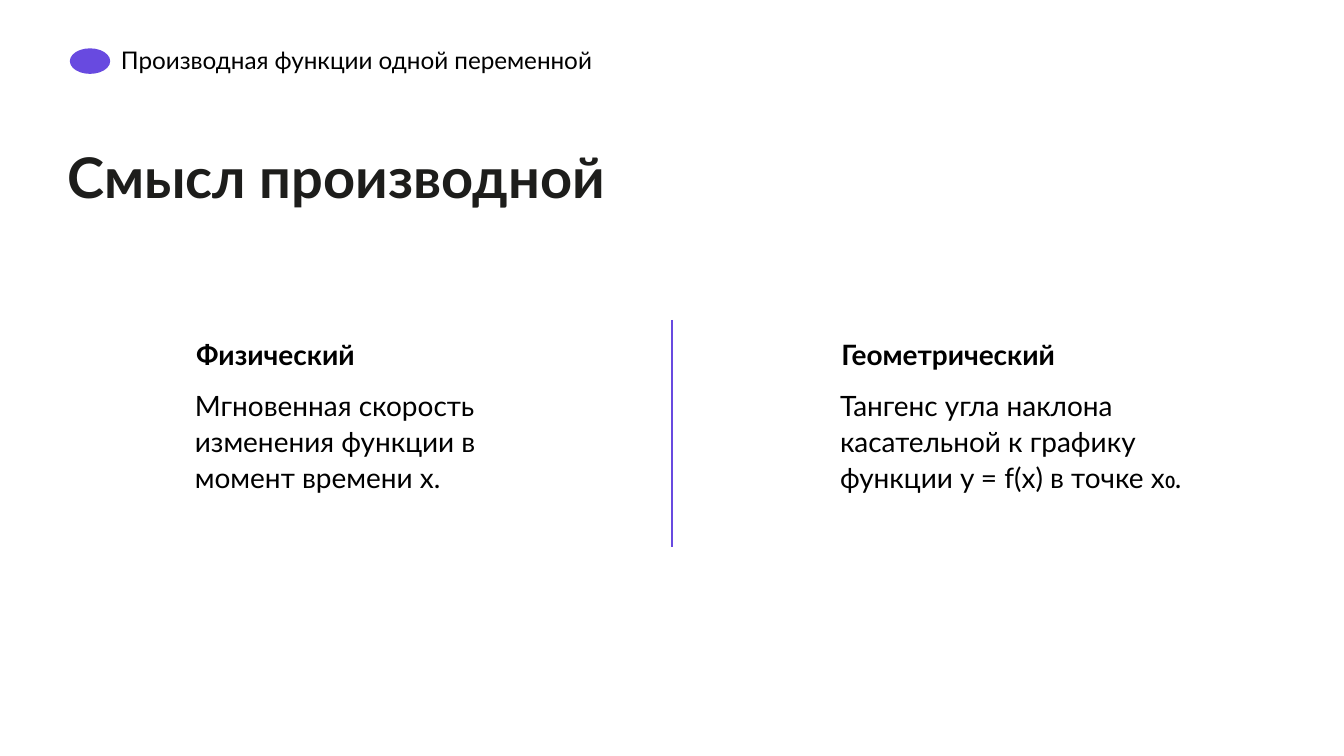
from lxml import etree
from pptx import Presentation
from pptx.dml.color import RGBColor
from pptx.enum import shapes, text
from pptx.oxml.ns import qn
from pptx.util import Inches, Pt

FONT = "Lato"
BLACK, INK, PURPLE = "000000", "1D1D1B", "684AE0"

TOPIC = "Производная функции одной переменной"
HEADING = "Смысл производной"
# Each meaning: left edge, name, then runs of (text, size, bold)
MEANINGS = [
    (1.45, "Физический",
     [("Мгновенная скорость изменения функции в момент времени x.", 15, False)]),
    (6.25, "Геометрический",
     [("Тангенс угла наклона касательной к графику функции y = f(x) в точке х", 15, False),
      ("0", 9, True), (".", 15, False)]),
]


def rgb(value):
    return RGBColor.from_string(value)


def add_text_frame(slide, left, top, width, height, inset_top=0.01):
    frame = slide.shapes.add_textbox(*map(Inches, (left, top, width, height))).text_frame
    frame.word_wrap = True
    frame.auto_size = text.MSO_AUTO_SIZE.NONE
    frame.margin_left = frame.margin_right = frame.margin_bottom = 0
    frame.margin_top = Inches(inset_top)
    return frame


def fill_paragraph(paragraph, runs, color=BLACK, line_spacing=None):
    paragraph.line_spacing = line_spacing
    for content, size, bold in runs:
        run = paragraph.add_run()
        run.text = content
        run.font.name = FONT
        run.font.size = Pt(size)
        run.font.bold = bold
        run.font.color.rgb = rgb(color)


def add_meaning(slide, left, name, runs):
    frame = add_text_frame(slide, left, 2.5, 2.69, 1.11)
    title = frame.paragraphs[0]
    title._p.get_or_add_pPr().set("marL", str(Inches(0.01)))
    fill_paragraph(title, [(name, 15, True)])
    description = frame.add_paragraph()
    description.space_before = Pt(8)
    fill_paragraph(description, runs, line_spacing=1.08)


def add_header_mark(slide):
    mark = slide.shapes.add_shape(
        shapes.MSO_SHAPE.OVAL, *map(Inches, (0.52, 0.36, 0.3, 0.19)))
    mark.shadow.inherit = False
    mark.fill.solid()
    mark.fill.fore_color.rgb = rgb(PURPLE)
    mark.line.fill.background()


def add_divider(slide):
    divider = slide.shapes.add_connector(
        shapes.MSO_CONNECTOR.STRAIGHT, *map(Inches, (5, 2.38, 5, 4.07)))
    divider.line.color.rgb = rgb(PURPLE)
    divider.line.width = Pt(1.5)
    etree.SubElement(divider._element.spPr, qn("a:effectLst"))


def main():
    presentation = Presentation()
    presentation.slide_width = Inches(10)
    presentation.slide_height = Inches(10) * 9 // 16
    slide = presentation.slides.add_slide(presentation.slide_layouts[6])

    add_header_mark(slide)
    heading = add_text_frame(slide, 0.5, 1.13, 7.6, 0.34)
    fill_paragraph(heading.paragraphs[0], [(HEADING, 30, True)], INK, 0.85)
    for meaning in MEANINGS:
        add_meaning(slide, *meaning)
    add_divider(slide)
    topic = add_text_frame(slide, 0.9, 0.26, 5.11, 0.28, inset_top=0.11)
    fill_paragraph(topic.paragraphs[0], [(TOPIC, 13, False)], line_spacing=0.85)

    presentation.save("out.pptx")


if __name__ == "__main__":
    main()
